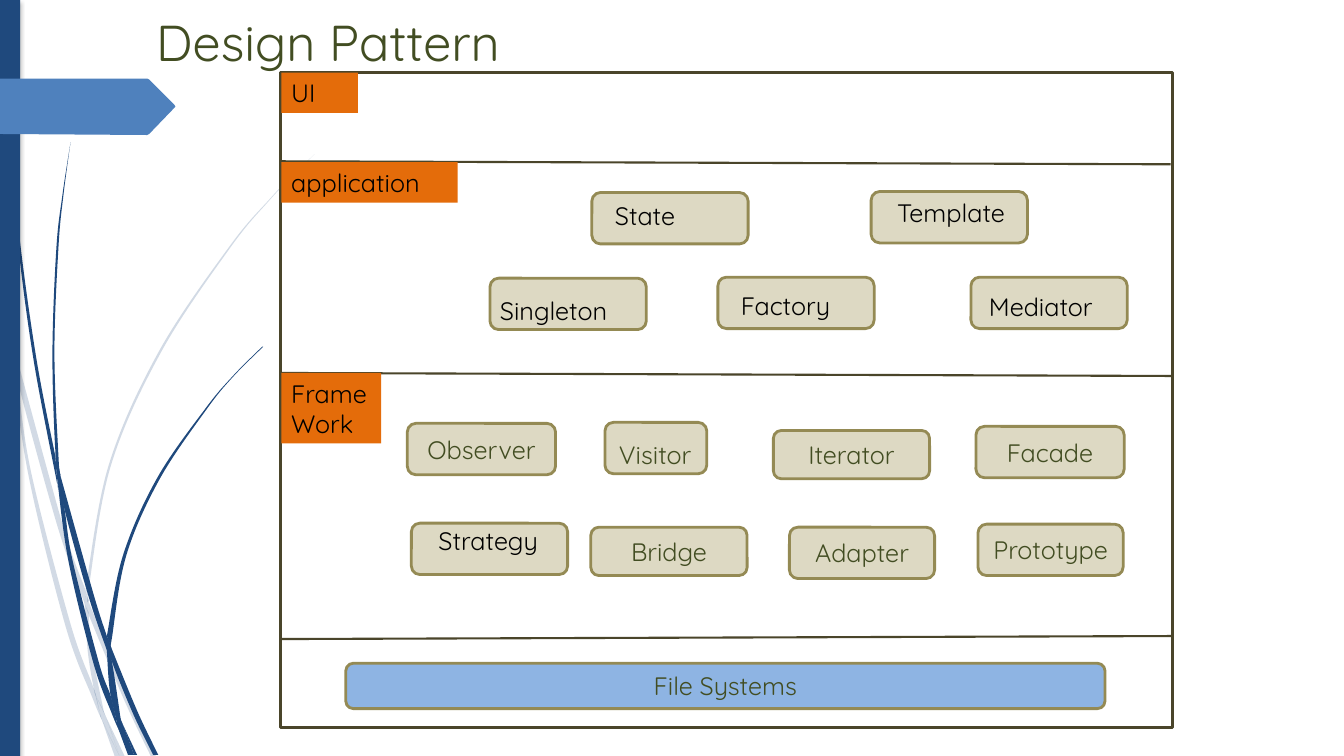
from lxml.etree import SubElement
from pptx import Presentation
from pptx.dml.color import RGBColor
from pptx.enum.shapes import MSO_CONNECTOR as CONNECTOR, MSO_SHAPE as SHAPE
from pptx.enum.text import MSO_ANCHOR as ANCHOR, PP_ALIGN as ALIGN
from pptx.oxml.ns import qn
from pptx.util import Inches, Pt

FONT = "Quicksand"
NAVY = RGBColor(0x1F, 0x49, 0x7D)
BLUE = RGBColor(0x4F, 0x81, 0xBD)
SKY = RGBColor(0x8E, 0xB4, 0xE3)
SAND = RGBColor(0xDD, 0xD9, 0xC3)
OLIVE = RGBColor(0x94, 0x8A, 0x54)
BROWN = RGBColor(0x4A, 0x45, 0x2A)
MOSS = RGBColor(0x42, 0x4D, 0x22)
ORANGE = RGBColor(0xE4, 0x6C, 0x0A)
BLACK = RGBColor(0, 0, 0)

PALE_BLADES = [
    ([(0, 2.99), (0.1, 3.44), (0.11, 3.5)], [(0, 2.82), (0.08, 3.22), (0.11, 3.5)]),
    ([(0.14, 3.45), (0.17, 3.76), (0.57, 5.22), (0.84, 5.99)], [(0.14, 3.45), (0.62, 5.2), (0.85, 5.86)]),
    ([(0.88, 6.1), (1.23, 6.94), (1.5, 7.51)], [(0.88, 5.96), (0.92, 6.07), (1.27, 6.91), (1.55, 7.51)]),
    ([(1.05, 7.11), (1.19, 7.51)], [(1.05, 7.11), (1.24, 7.51)]),
    ([(0.11, 3.5), (0.28, 4.7), (0.65, 6.21), (0.92, 6.93), (1.01, 7.14)],
     [(0.11, 3.5), (0.17, 3.76), (0.31, 4.69), (0.7, 6.19), (0.93, 6.83), (0.99, 7.07)]),
    ([(0.84, 5.99), (0.87, 6.46), (0.93, 6.83), (0.96, 6.92), (1.05, 7.11)],
     [(0.88, 6.08), (0.88, 6.1), (0.91, 6.46), (1.03, 7.06)]),
    ([(3.12, 1.53), (2.89, 1.75), (2.68, 1.97), (2.28, 2.44), (1.58, 3.48), (1.08, 4.61), (0.85, 5.84)],
     [(3.12, 1.53), (2.9, 1.75), (2.68, 1.98), (2.29, 2.45), (1.6, 3.49), (1.1, 4.62), (0.88, 5.84), (0.88, 5.96)]),
    ([(1.01, 7.14), (1.14, 7.51)], [(1.01, 7.14), (1.19, 7.51)]),
    ([(0.85, 5.86), (0.84, 5.99)], [(0.88, 5.96), (0.88, 6.1)]),
    ([(0.93, 6.83), (0.99, 7.07), (1.01, 7.14), (1.19, 7.51)], [(0.96, 6.92), (1.05, 7.11), (1.19, 7.51)]),
]
DARK_BLADES = [
    ([(0.03, 0), (0.04, 0.48), (0.07, 1.1), (0.17, 2.33), (0.33, 3.55), (0.56, 4.76), (0.57, 4.81)],
     [(0.04, 0), (0.05, 0.48), (0.08, 1.09), (0.19, 2.32), (0.36, 3.55), (0.55, 4.53)]),
    ([(0.6, 4.72), (0.64, 5.05), (0.88, 5.92), (1.06, 6.45)], [(0.6, 4.72), (0.93, 5.9), (1.06, 6.31)]),
    ([(1.1, 6.41), (1.11, 6.56), (1.32, 7.08), (1.52, 7.49)], [(1.1, 6.41), (1.13, 6.49), (1.36, 7.05), (1.57, 7.49)]),
    ([(0.57, 4.77), (0.68, 5.57), (0.93, 6.59), (1.11, 7.08), (1.17, 7.22)],
     [(0.57, 4.77), (0.64, 5.05), (0.72, 5.56), (0.98, 6.57), (1.1, 6.91), (1.16, 7.17)]),
    ([(0.7, 1.41), (0.62, 1.93), (0.56, 2.45), (0.52, 3.49), (0.55, 4.49), (0.6, 4.71)],
     [(0.7, 1.41), (0.63, 1.93), (0.58, 2.45), (0.54, 3.49), (0.58, 4.53), (0.6, 4.72)]),
    ([(1.22, 7.19), (1.33, 7.49)], [(1.22, 7.19), (1.36, 7.49)]),
    ([(0.55, 4.49), (0.57, 4.77), (0.64, 5.05)], [(0.55, 4.49), (0.6, 4.72), (0.64, 5.05)]),
    ([(2.6, 3.44), (2.31, 3.73), (2.04, 4.05), (1.56, 4.74), (1.22, 5.51), (1.06, 6.31)],
     [(2.61, 3.44), (2.31, 3.74), (2.05, 4.06), (1.58, 4.76), (1.25, 5.52), (1.11, 6.33), (1.1, 6.41)]),
    ([(1.17, 7.22), (1.27, 7.49)], [(1.17, 7.22), (1.31, 7.49)]),
    ([(1.06, 6.45), (1.1, 6.91), (1.22, 7.19)], [(1.06, 6.45), (1.11, 6.56), (1.2, 7.15)]),
    ([(1.06, 6.31), (1.06, 6.45)], [(1.06, 6.31), (1.1, 6.41), (1.11, 6.56)]),
    ([(1.1, 6.91), (1.16, 7.17), (1.17, 7.22), (1.3, 7.49)], [(1.1, 6.91), (1.22, 7.19), (1.33, 7.49)]),
]
RIBBON = [(0, 0.78), (1.46, 0.78), (1.48, 0.79), (1.73, 1.04), (1.74, 1.06), (1.73, 1.07),
          (1.48, 1.33), (1.46, 1.34), (0, 1.33)]
DIVIDERS = [(2.77, 1.6, 11.61, 1.63), (2.79, 3.7, 11.63, 3.73), (2.77, 6.34, 11.63, 6.31)]
LAYERS = [("UI", 0.72, 0.76, 0.4), ("application", 1.61, 1.75, 0.4), ("Frame Work", 3.7, 0.99, 0.7)]
CENTERED_PATTERNS = [
    ("Observer", 4.04, 4.2, 1.47, 0.51),
    ("Iterator", 7.67, 4.27, 1.55, 0.48),
    ("Facade", 9.68, 4.23, 1.47, 0.51),
    ("Bridge", 5.86, 5.23, 1.55, 0.48),
    ("Adapter", 7.83, 5.23, 1.44, 0.51),
    ("Prototype", 9.7, 5.2, 1.44, 0.51),
]
LABELLED_PATTERNS = [
    ("State", (5.87, 1.91, 1.55, 0.51), (6, 1.94, 1.08, 0.4), BLACK),
    ("Template", (8.64, 1.9, 1.55, 0.51), (8.8, 1.91, 1.51, 0.4), BLACK),
    ("Singleton", (4.86, 2.76, 1.55, 0.51), (4.86, 2.88, 1.51, 0.4), BLACK),
    ("Factory", (7.12, 2.75, 1.55, 0.51), (7.25, 2.83, 1.13, 0.4), BLACK),
    ("Mediator", (9.63, 2.75, 1.55, 0.51), (9.71, 2.84, 1.39, 0.4), BLACK),
    ("Visitor", (6, 4.19, 1.01, 0.51), (6.04, 4.31, 1.35, 0.4), MOSS),
    ("Strategy", (4.08, 5.19, 1.55, 0.51), (4.25, 5.16, 1.22, 0.4), BLACK),
]


def paint(shape, fill=None, line=None):
    shape.shadow.inherit = False
    if fill is None:
        shape.fill.background()
    else:
        shape.fill.solid()
        shape.fill.fore_color.rgb = fill
    if line is None:
        shape.line.fill.background()
    else:
        shape.line.color.rgb = line
        shape.line.width = Pt(2)


def write(shape, text, color, size=18, align=ALIGN.LEFT, anchor=ANCHOR.TOP):
    frame = shape.text_frame
    frame.word_wrap = True
    frame.vertical_anchor = anchor
    paragraph = frame.paragraphs[0]
    paragraph.text = text
    paragraph.alignment = align
    paragraph.font.name = FONT
    paragraph.font.size = Pt(size)
    paragraph.font.color.rgb = color


def add_outline(slide, points, fill):
    corners = [(x * 1000, y * 1000) for x, y in points]
    builder = slide.shapes.build_freeform(*corners[0], scale=Inches(1) / 1000)
    builder.add_line_segments(corners[1:], close=True)
    outline = builder.convert_to_shape()
    paint(outline, fill)
    return outline


def bend(segments, corners):
    padded = [corners[0], *corners, corners[-1]]
    for segment, a, b, c, d in zip(segments, padded, padded[1:], padded[2:], padded[3:]):
        leave = [q + (r - p) / 6 for p, q, r in zip(a, b, c)]
        arrive = [q - (r - p) / 6 for p, q, r in zip(b, c, d)]
        segment.tag = qn("a:cubicBezTo")
        segment.remove(segment[0])
        for x, y in (leave, arrive, c):
            SubElement(segment, qn("a:pt"), x=str(round(x)), y=str(round(y)))


def add_blade(slide, left_edge, right_edge, opacity=None):
    blade = add_outline(slide, left_edge + right_edge[::-1], NAVY)
    properties = blade._element.spPr
    corners = [(int(pt.get("x")), int(pt.get("y"))) for pt in properties.iter(qn("a:pt"))]
    segments = list(properties.iter(qn("a:lnTo")))
    turn = len(left_edge)
    bend(segments[:turn - 1], corners[:turn])
    bend(segments[turn:], corners[turn:])
    if opacity:
        tint = properties.find(qn("a:solidFill"))[0]
        SubElement(tint, qn("a:alpha"), val=str(opacity * 1000))


def add_box(slide, kind, box, fill=None, line=None):
    shape = slide.shapes.add_shape(kind, *map(Inches, box))
    paint(shape, fill, line)
    return shape


def add_card(slide, box, text=None, fill=SAND):
    card = add_box(slide, SHAPE.ROUNDED_RECTANGLE, box, fill, OLIVE)
    if text:
        write(card, text, MOSS, align=ALIGN.CENTER, anchor=ANCHOR.MIDDLE)


def add_label(slide, box, text, color, size=18):
    write(slide.shapes.add_textbox(*map(Inches, box)), text, color, size)


def add_divider(slide, ends):
    divider = slide.shapes.add_connector(CONNECTOR.STRAIGHT, *map(Inches, ends))
    divider.line.color.rgb = BROWN
    divider.line.width = Pt(1.5)
    SubElement(divider._element.spPr, qn("a:effectLst"))


def add_sidebar(slide):
    sidebar = add_box(slide, SHAPE.RECTANGLE, (0, 0, 0.2, 7.5), NAVY)
    effects = sidebar._element.spPr.find(qn("a:effectLst"))
    shadow = SubElement(effects, qn("a:outerShdw"), blurRad=str(Pt(3)), dist=str(Pt(2)), dir="5400000")
    shade = SubElement(shadow, qn("a:srgbClr"), val="000000")
    SubElement(shade, qn("a:alpha"), val="25000")


def main():
    deck = Presentation()
    deck.slide_width, deck.slide_height = Inches(13.33), Inches(7.5)
    slide = deck.slides.add_slide(deck.slide_layouts[6])

    for edges in PALE_BLADES:
        add_blade(slide, *edges, opacity=20)
    for edges in DARK_BLADES:
        add_blade(slide, *edges)
    add_sidebar(slide)
    add_outline(slide, RIBBON, BLUE)

    add_box(slide, SHAPE.RECTANGLE, (2.78, 0.72, 8.85, 6.5), line=BROWN)
    for ends in DIVIDERS:
        add_divider(slide, ends)
    add_label(slide, (1.45, 0.06, 9.75, 0.82), "Design Pattern", MOSS, 36)
    for name, top, width, height in LAYERS:
        tag = add_box(slide, SHAPE.RECTANGLE, (2.79, top, width, height), ORANGE)
        write(tag, name, BLACK)

    for name, *box in CENTERED_PATTERNS:
        add_card(slide, box, name)
    for name, card_box, label_box, color in LABELLED_PATTERNS:
        add_card(slide, card_box)
        add_label(slide, label_box, name, color)
    add_card(slide, (3.43, 6.58, 7.53, 0.45), "File Systems", SKY)

    deck.save("out.pptx")


if __name__ == "__main__":
    main()
